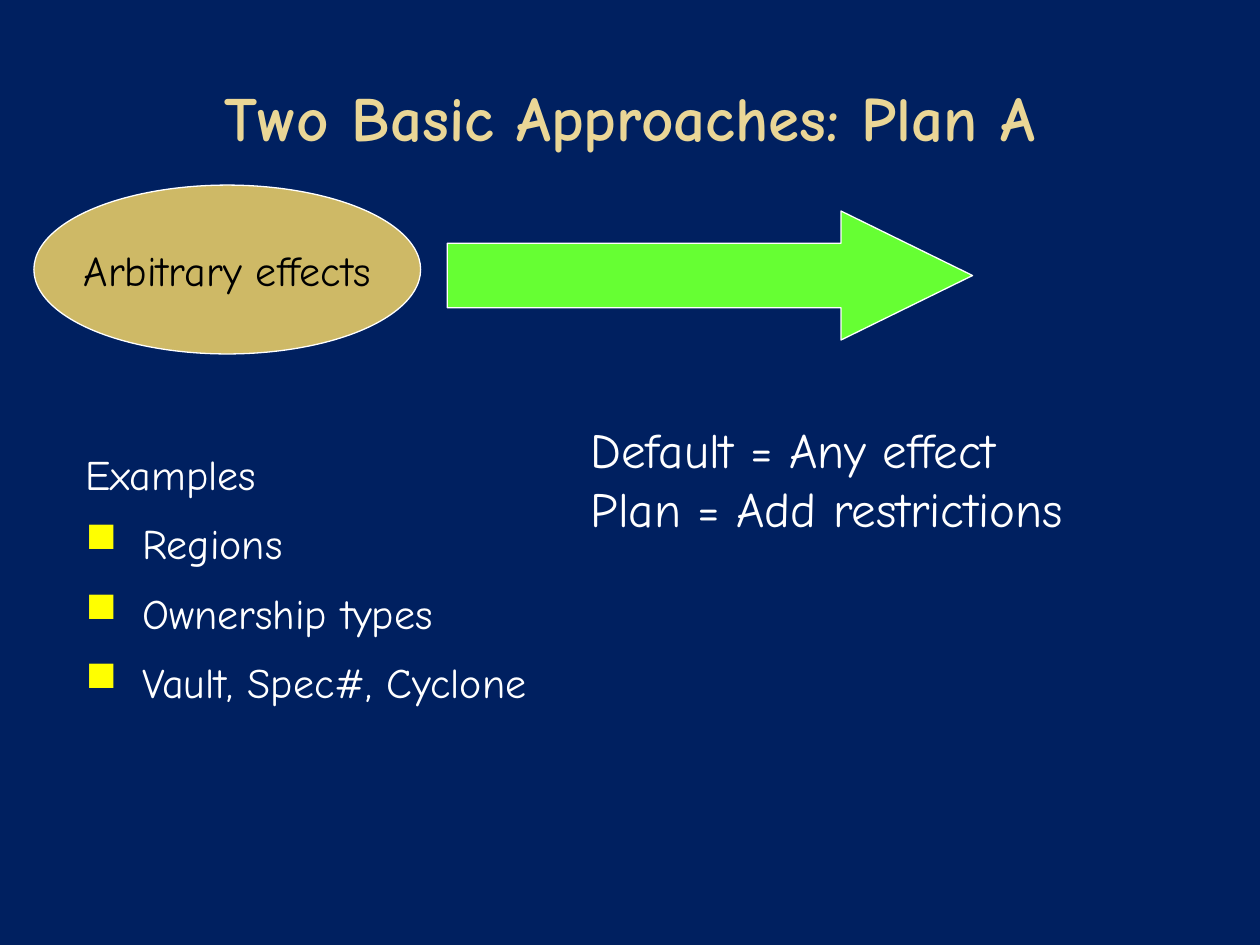
from lxml import etree
from pptx import Presentation
from pptx import util as u
from pptx.dml.color import RGBColor
from pptx.enum import shapes, text
from pptx.oxml.ns import qn

# Content
TITLE = "Two Basic Approaches: Plan A"
START = "Arbitrary effects"
SUMMARY = "Default = Any effect\vPlan = Add restrictions"
EXAMPLES_HEADING = "Examples"
EXAMPLES = ["Regions", "Ownership types", "Vault, Spec#, Cyclone"]

# Boxes: left, top, width, height in points
TITLE_BOX = (36, 21.6, 648, 90)
EXAMPLES_BOX = (31, 252.7, 369.4, 262.8)
ELLIPSE_BOX = (19.4, 105.8, 221, 96.5)
ARROW_BOX = (255.6, 120.6, 300.2, 73.7)
SUMMARY_BOX = (330.5, 234, 357.8, 79.2)

FONT = "Comic Neue"
NAVY, CREAM, GOLD = "002060", "EAD696", "CEB966"
GREEN, YELLOW, WHITE, BLACK = "66FF33", "FFFF00", "FFFFFF", "000000"


def color(value):
    return RGBColor.from_string(value)


def points(box):
    return [u.Pt(length) for length in box]


def write(frame, content, size=24, fill=WHITE, bold=False, align=text.PP_ALIGN.LEFT,
          anchor=text.MSO_ANCHOR.MIDDLE, wrap=True, new=False):
    frame.word_wrap = wrap
    frame.vertical_anchor = anchor
    paragraph = frame.add_paragraph() if new else frame.paragraphs[0]
    paragraph.text = content
    paragraph.alignment = align
    for run in paragraph.runs:
        run.font.name = FONT
        run.font.size = u.Pt(size)
        run.font.bold = bold
        run.font.color.rgb = color(fill)
    return paragraph


def add_text_frame(slide, box):
    return slide.shapes.add_textbox(*points(box)).text_frame


def add_outlined(slide, kind, box, fill):
    shape = slide.shapes.add_shape(kind, *points(box))
    shape.shadow.inherit = False
    shape.fill.solid()
    shape.fill.fore_color.rgb = color(fill)
    shape.line.color.rgb = color(WHITE)
    shape.line.width = u.Pt(0.75)
    return shape


def set_bullet(paragraph, symbol, fill):
    properties = paragraph._p.get_or_add_pPr()
    bullet_color = etree.SubElement(properties, qn("a:buClr"))
    etree.SubElement(bullet_color, qn("a:srgbClr"), val=fill)
    etree.SubElement(properties, qn("a:buChar"), char=symbol)


presentation = Presentation()
presentation.slide_width, presentation.slide_height = u.Pt(720), u.Pt(540)
slide = presentation.slides.add_slide(presentation.slide_layouts[6])
slide.background.fill.solid()
slide.background.fill.fore_color.rgb = color(NAVY)

# Title
write(add_text_frame(slide, TITLE_BOX), TITLE, size=36, fill=CREAM, bold=True,
      align=text.PP_ALIGN.CENTER)

# Examples: a heading, then bulleted items with the same hanging indent
frame = add_text_frame(slide, EXAMPLES_BOX)
for index, content in enumerate([EXAMPLES_HEADING] + EXAMPLES):
    paragraph = write(frame, content, anchor=text.MSO_ANCHOR.TOP, new=index > 0)
    paragraph.space_before = u.Pt(10.8 if index else 0)
    properties = paragraph._p.get_or_add_pPr()
    properties.set("marL", str(u.Pt(43.2)))
    properties.set("indent", str(u.Pt(-32.4)))
    if index:
        set_bullet(paragraph, "■", YELLOW)

# Starting point and arrow
ellipse = add_outlined(slide, shapes.MSO_SHAPE.OVAL, ELLIPSE_BOX, GOLD)
write(ellipse.text_frame, START, fill=BLACK, align=text.PP_ALIGN.CENTER, wrap=False)
arrow = add_outlined(slide, shapes.MSO_SHAPE.RIGHT_ARROW, ARROW_BOX, GREEN)
arrow.adjustments[1] = 1.02

# Summary
write(add_text_frame(slide, SUMMARY_BOX), SUMMARY, size=28)

presentation.save("out.pptx")
